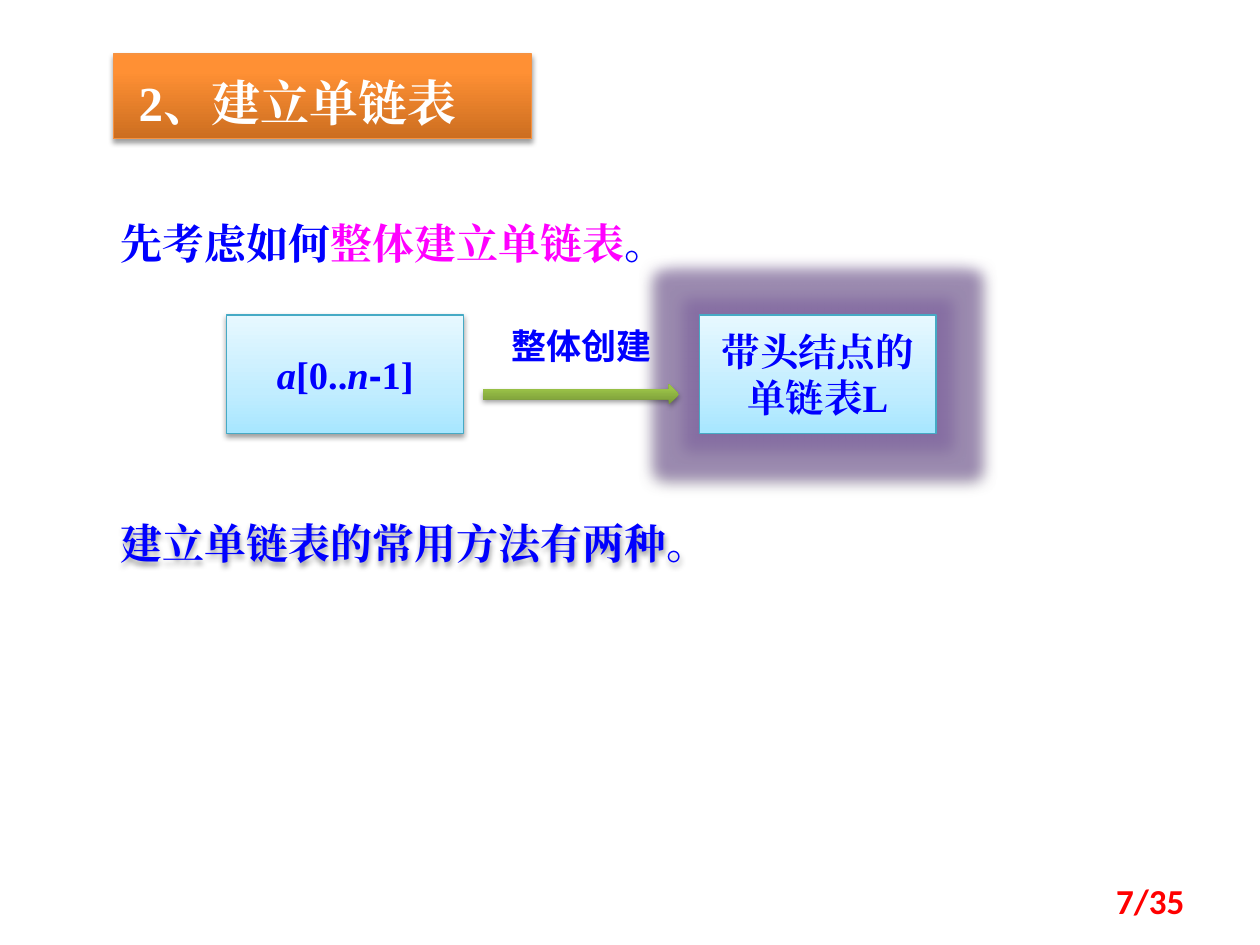
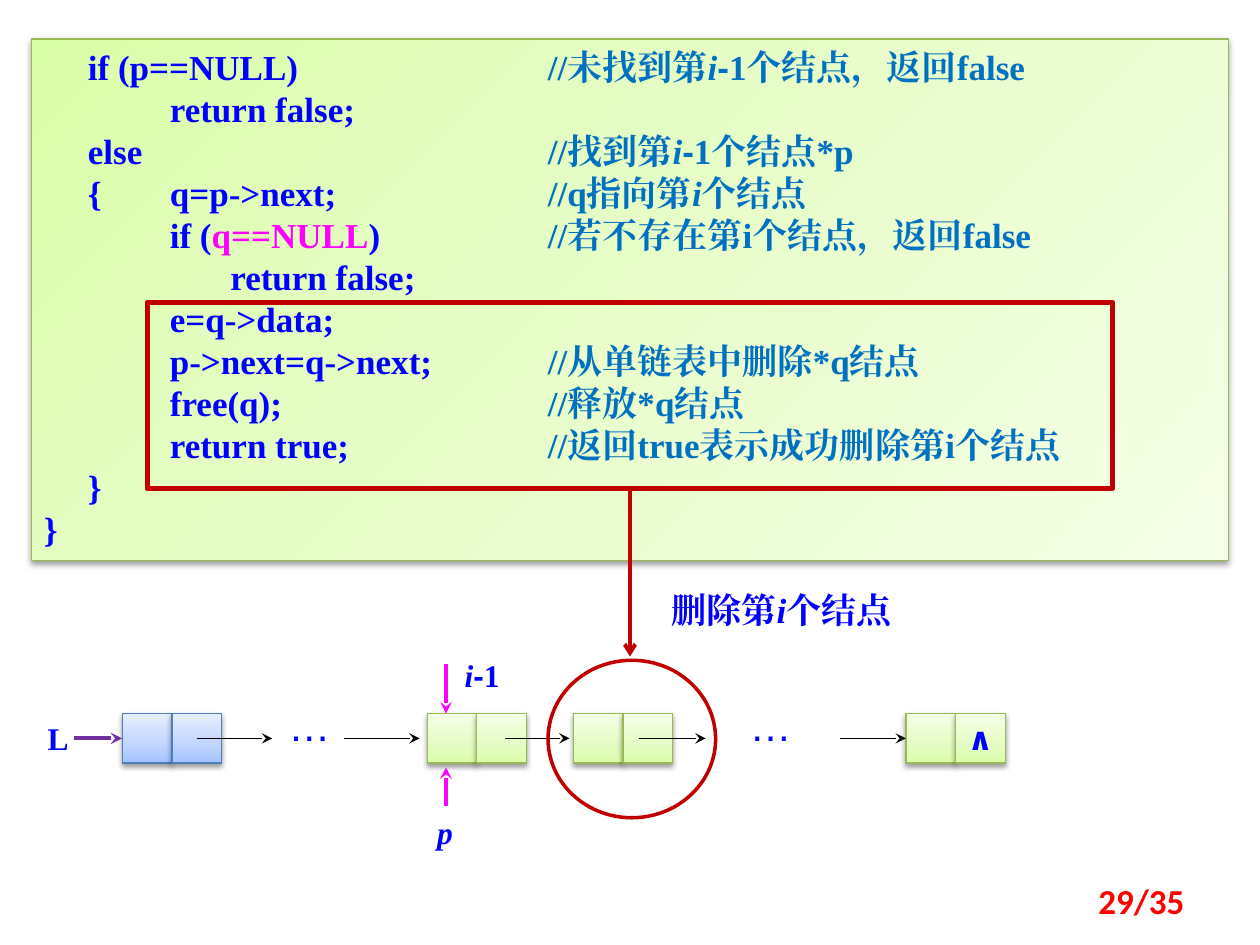
from lxml import etree
from pptx import Presentation
from pptx.dml.color import RGBColor
from pptx.enum.shapes import MSO_CONNECTOR, MSO_SHAPE
from pptx.enum.text import MSO_ANCHOR, PP_ALIGN
from pptx.oxml.ns import qn
from pptx.util import Emu, Inches, Pt

# Grid: 100 columns by 75 rows of square cells
WIDTH, HEIGHT = Inches(10), Inches(7.5)
CELL = WIDTH // 100

BLUE, MAGENTA, COMMENT = "0000FF", "FF00FF", "0070C0"
RED, PURPLE, BLACK, WHITE = "C00000", "7030A0", "000000", "FFFFFF"
SERIF, SANS, CJK = "Times New Roman", "Arial", "Noto Sans CJK SC"

# Gradient stops (position, colour) and outline of each kind of box
ORANGE_BOX = ([(0, "CC6E20"), (80, "FF9034"), (100, "FF9136")], "F69240")
CYAN_BOX = ([(0, "A7E6FF"), (35, "C1EDFF"), (100, "E7F8FF")], "46AAC5")
BLUE_BOX = ([(0, "A4C4FF"), (35, "BFD4FF"), (100, "E6EEFF")], "4B7EBC")
GREEN_BOX = ([(0, "DAFDA7"), (35, "E4FCC2"), (100, "F5FFE7")], "98B955")
GREEN_ARROW = ([(0, "779737"), (80, "9BC348"), (100, "9DC746")], None)


def color(value):
    return RGBColor.from_string(value)


def grid(*cells):
    return [Emu(round(cell * CELL)) for cell in cells]


def child(parent, tag, **attributes):
    element = etree.SubElement(parent, qn(tag))
    for name, value in attributes.items():
        element.set(name, str(value))
    return element


def run(text, **style):
    return text, style


def write(paragraph, runs, size, **base):
    """Add runs, each with its own changes to the base style."""
    for text, changes in runs:
        style = {"font": SERIF, "ink": BLUE, "bold": True, "italic": False, **base, **changes}
        part = paragraph.add_run()
        part.text = text
        part.font.size = Pt(size)
        part.font.name = style["font"]
        part.font.bold, part.font.italic = style["bold"], style["italic"]
        part.font.color.rgb = color(style["ink"])
        child(part.font._element, "a:ea", typeface=style["font"])


def label(slide, box, runs, size, align=PP_ALIGN.LEFT, anchor=MSO_ANCHOR.TOP, **base):
    shape = slide.shapes.add_textbox(*grid(*box))
    frame = shape.text_frame
    frame.word_wrap = True
    frame.vertical_anchor = anchor
    frame.paragraphs[0].alignment = align
    write(frame.paragraphs[0], runs, size, **base)
    return shape


def add_shadow(shape, strength=38):
    shape.shadow.inherit = False
    effects = shape._element.spPr.find(qn("a:effectLst"))
    shadow = child(effects, "a:outerShdw", blurRad=Pt(3.1), dist=Pt(1.7), dir=5400000, rotWithShape=0)
    child(child(shadow, "a:srgbClr", val=BLACK), "a:alpha", val=strength * 1000)


def add_glow(shape, ink, radius):
    glow = etree.Element(qn("a:glow"), rad=str(radius))
    child(child(glow, "a:srgbClr", val=ink), "a:alpha", val=60000)
    shape._element.spPr.find(qn("a:effectLst")).insert(0, glow)


def gradient_box(slide, box, look, kind=MSO_SHAPE.RECTANGLE, angle=270):
    stops, outline = look
    shape = slide.shapes.add_shape(kind, *grid(*box))
    if outline:
        shape.line.color.rgb = color(outline)
        shape.line.width = Pt(0.75)
    else:
        shape.line.fill.background()
    gradient = etree.Element(qn("a:gradFill"), rotWithShape="1")
    stop_list = child(gradient, "a:gsLst")
    for position, ink in stops:
        child(child(stop_list, "a:gs", pos=position * 1000), "a:srgbClr", val=ink)
    child(gradient, "a:lin", ang=angle * 60000, scaled=0)
    shape._element.spPr.find(qn("a:prstGeom")).addnext(gradient)
    add_shadow(shape)
    return shape


def fill_text(shape, runs, size, align=PP_ALIGN.CENTER, **base):
    shape.text_frame.vertical_anchor = MSO_ANCHOR.MIDDLE
    paragraph = shape.text_frame.paragraphs[0]
    paragraph.alignment = align
    write(paragraph, runs, size, **base)


def outline(slide, box, kind, width):
    shape = slide.shapes.add_shape(kind, *grid(*box))
    shape.fill.background()
    shape.line.color.rgb = color(RED)
    shape.line.width = Pt(width)
    shape.shadow.inherit = False
    return shape


def arrow(slide, start, end, ink=BLACK, width=0.75, head="stealth"):
    line = slide.shapes.add_connector(MSO_CONNECTOR.STRAIGHT, *grid(*start, *end))
    line.line.color.rgb = color(ink)
    line.line.width = Pt(width)
    child(line.line._get_or_add_ln(), "a:tailEnd", type=head)
    child(line._element.spPr, "a:effectLst")
    return line


def minus_one(after=""):
    return [run("i", italic=True), run("-", font=SANS), run("1" + after)]


def page_number(slide, number):
    label(slide, (71.7, 69.5, 23.3, 4), [run(f"{number}/35")], 20,
          PP_ALIGN.RIGHT, MSO_ANCHOR.MIDDLE, font="Calibri", ink="FF0000")


# Slide 1: building a list as a whole
def section_title(slide, box, text):
    banner = gradient_box(slide, box, ORANGE_BOX)
    banner.text_frame.margin_left = Inches(0.2)
    banner.text_frame.paragraphs[0].line_spacing = 1.2
    fill_text(banner, [run(text)], 28, PP_ALIGN.LEFT, ink=WHITE)


def creation_diagram(slide, left, top):
    box_width, box_height, pitch = 18.8, 9.4, 37.5
    array = gradient_box(slide, (left, top, box_width, box_height), CYAN_BOX)
    fill_text(array, [run("a", italic=True), run("[0.."), run("n", italic=True),
                      run("-", font=SANS), run("1]")], 22)
    result = gradient_box(slide, (left + pitch, top, box_width, box_height), CYAN_BOX)
    add_glow(result, "8064A2", Inches(0.24))
    fill_text(result, [run("带头结点的单链表L")], 22)
    gradient_box(slide, (left + 20.3, top + 5.5, 15.6, 1.6), GREEN_ARROW, MSO_SHAPE.RIGHT_ARROW)
    label(slide, (left + 21.1, top + 0.3, 14.1, 4.4), [run("整体创建")], 20,
          PP_ALIGN.CENTER, font=CJK)


def creation_slide(slide):
    intro = label(slide, (8.6, 14.8, 47.2, 7.1),
                  [run("先考虑如何"), run("整体建立单链表", ink=MAGENTA), run("。")],
                  24, PP_ALIGN.JUSTIFY)
    intro.text_frame.paragraphs[0].line_spacing = 1.5
    section_title(slide, (9, 4.3, 33.2, 6.7), "2、建立单链表")
    creation_diagram(slide, 18, 25)
    methods = label(slide, (8.6, 40.6, 50, 5), [run("建立单链表的常用方法有两种。")], 24)
    add_shadow(methods)
    page_number(slide, 7)


# Slide 2: deleting a node
# Tab stops of the code panel, in inches
OUTER, INNER, DEEP, REMARK = 0.35, 1, 1.48, 4
I_RUN = run("i", italic=True)
# Each line: tab stops, code runs, comment runs
CODE = [
    ([OUTER, REMARK], [run("\tif (p==NULL)\t")], [run("//未找到第"), *minus_one("个结点，返回false")]),
    ([INNER], [run("\treturn false;")], []),
    ([OUTER, REMARK], [run("\telse\t")], [run("//找到第"), *minus_one("个结点*p")]),
    ([OUTER, INNER, REMARK], [run("\t{\tq=p->next;\t")], [run("//q指向第"), I_RUN, run("个结点")]),
    ([INNER, REMARK], [run("\tif ("), run("q==NULL", ink=MAGENTA), run(")\t")],
     [run("//若不存在第i个结点，返回false")]),
    ([DEEP], [run("\treturn false;")], []),
    ([INNER], [run("\te=q->data;")], []),
    ([INNER, REMARK], [run("\tp->next=q->next;\t")], [run("//从单链表中删除*q结点")]),
    ([INNER, REMARK], [run("\tfree(q);\t")], [run("//释放*q结点")]),
    ([INNER, REMARK], [run("\treturn true;\t")], [run("//返回true表示成功删除第i个结点")]),
    ([OUTER], [run("\t}")], []),
    ([], [run("}")], []),
]


def code_panel(slide, box):
    panel = gradient_box(slide, box, GREEN_BOX, angle=45)
    frame = panel.text_frame
    frame.vertical_anchor = MSO_ANCHOR.TOP
    for index, (stops, code, remark) in enumerate(CODE):
        paragraph = frame.paragraphs[0] if index == 0 else frame.add_paragraph()
        paragraph.alignment = PP_ALIGN.LEFT
        paragraph.line_spacing = Pt(24)
        if stops:
            tabs = child(paragraph._p.get_or_add_pPr(), "a:tabLst")
            for stop in stops:
                child(tabs, "a:tab", pos=Inches(stop), algn="l")
        write(paragraph, code, 20)
        write(paragraph, remark, 20, ink=COMMENT)


def node(slide, left, top, look):
    """Draw the data cell and the pointer cell of one node."""
    side = 3.94
    return [gradient_box(slide, (left + side * index, top, side, side), look) for index in range(2)]


def linked_list(slide, left, top):
    middle = top + 7
    node_top = middle - 1.97

    # Nodes
    head, _ = node(slide, left + 6.9, node_top, BLUE_BOX)
    for offset in (31.1, 42.7):
        node(slide, left + offset, node_top, GREEN_BOX)
    last, end_mark = node(slide, left + 69.1, node_top, GREEN_BOX)
    end_mark.text_frame.word_wrap = False
    fill_text(end_mark, [run("∧")], 18, font="DejaVu Sans")

    # Links
    for start, end in ((12.8, 18.8), (24.5, 30.5), (37.3, 42.4), (47.9, 53.2)):
        arrow(slide, (left + start, middle), (left + end, middle))
    last_link = arrow(slide, (left + 63.9, middle), (left + 69.1, middle))
    last_link.end_connect(last, 1)
    head_link = arrow(slide, (left + 3.1, middle), (left + 6.9, middle), PURPLE, 2.25)
    head_link.end_connect(head, 1)
    for offset in (19.1, 55.7):
        label(slide, (left + offset, top + 3.4, 7.9, 5), [run("…")], 24, font=SANS, bold=False)

    # Pointers and their names
    pointer = left + 32.6
    arrow(slide, (pointer, top + 1.1), (pointer, node_top), MAGENTA, 2.25)
    arrow(slide, (pointer, top + 12.4), (pointer, top + 9.3), MAGENTA, 2.25)
    label(slide, (left, top + 5, 2.9, 4), [run("L")], 18)
    label(slide, (left + 33.1, top, 6.4, 4), minus_one(), 18)
    label(slide, (left + 30.9, top + 12.4, 3.9, 4), [run("p", italic=True)], 18)

    # Ring around the node to delete
    outline(slide, (left + 40.7, top + 0.8, 13.3, 12.5), MSO_SHAPE.OVAL, 2)


def deletion_slide(slide):
    code_panel(slide, (2.5, 3.1, 95, 41.4))
    steps = outline(slide, (11.7, 24, 76.6, 14.8), MSO_SHAPE.RECTANGLE, 3)
    pointer = arrow(slide, (50, 38.8), (50, 52.1), RED, 2.25, "arrow")
    pointer.begin_connect(steps, 2)
    label(slide, (52.3, 46.2, 28.1, 4.4), [run("删除第"), I_RUN, run("个结点")], 20)
    linked_list(slide, 2.8, 51.6)
    page_number(slide, 29)


def main():
    presentation = Presentation()
    presentation.slide_width, presentation.slide_height = WIDTH, HEIGHT
    for build in (creation_slide, deletion_slide):
        build(presentation.slides.add_slide(presentation.slide_layouts[6]))
    presentation.save("out.pptx")


if __name__ == "__main__":
    main()
